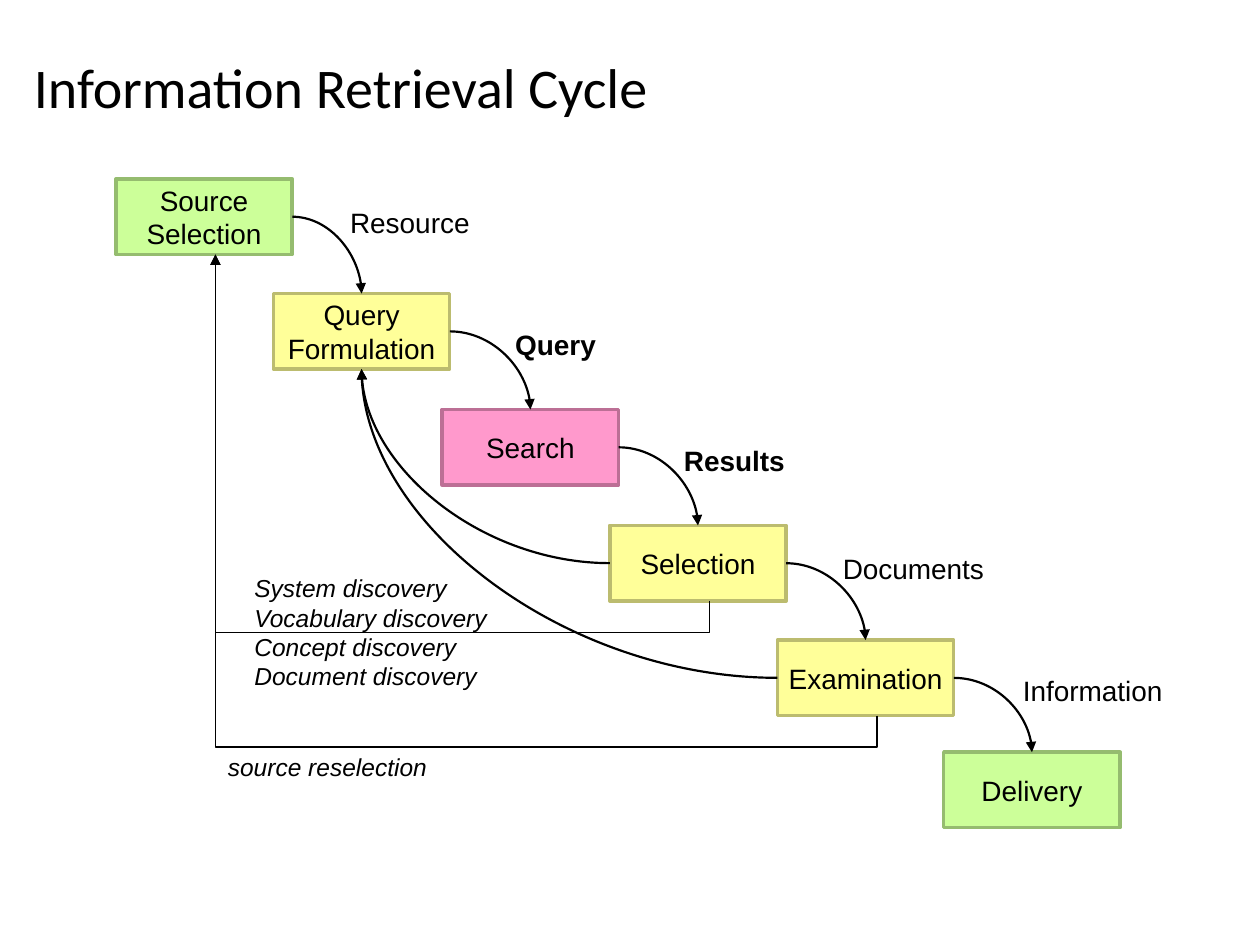
from dataclasses import dataclass
from lxml.etree import SubElement
from pptx import Presentation
from pptx.dml.color import RGBColor
from pptx.enum.shapes import MSO_CONNECTOR, MSO_SHAPE
from pptx.enum.text import MSO_ANCHOR, PP_ALIGN
from pptx.oxml.ns import qn
from pptx.util import Inches, Pt


@dataclass(frozen=True)
class Theme:
    ink: str = "000000"
    green: tuple = ("CCFF99", "95BC6F")
    yellow: tuple = ("FFFF99", "BCBC6F")
    pink: tuple = ("FF99CC", "BC6F95")
    head: str = "Calibri"
    body: str = "Arial"
    title: int = 32
    label: int = 16
    note: int = 14
    edge: float = 2
    curve: float = 1.25
    bent: float = 1


@dataclass(frozen=True)
class Stage:
    text: str
    left: float
    top: float
    hue: tuple

    @property
    def mid(self):
        return self.left + WIDE / 2

    @property
    def row(self):
        return self.top + HIGH / 2

    @property
    def right(self):
        return self.left + WIDE

    @property
    def base(self):
        return self.top + HIGH


THEME = Theme()
WIDE, HIGH = 1.4, 0.6
SHIFT, DROP = 0.09, 0.25

STAGES = [
    Stage("Source\nSelection", 0.92, 1.42, THEME.green),
    Stage("Query\nFormulation", 2.17, 2.33, THEME.yellow),
    Stage("Search", 3.51, 3.25, THEME.pink),
    Stage("Selection", 4.84, 4.17, THEME.yellow),
    Stage("Examination", 6.17, 5.08, THEME.yellow),
    Stage("Delivery", 7.49, 5.97, THEME.green),
]

LABELS = [
    ("Resource", 2.68, 1.58, 1.15, False),
    ("Query", 3.99, 2.55, 0.85, True),
    ("Results", 5.33, 3.47, 1, True),
    ("Documents", 6.59, 4.33, 1.32, False),
    ("Information", 8.02, 5.3, 1.31, False),
]

FINDS = "\n".join(
    f"{word} discovery" for word in ("System", "Vocabulary", "Concept", "Document")
)


def color(code):
    return RGBColor.from_string(code)


def write(shape, text, size=THEME.label, face=THEME.body, bold=False,
          italic=False, align=PP_ALIGN.LEFT, anchor=MSO_ANCHOR.TOP):
    frame = shape.text_frame
    frame.word_wrap = False
    frame.vertical_anchor = anchor
    frame.text = text
    for para in frame.paragraphs:
        para.alignment = align
        font = para.font
        font.name, font.size = face, Pt(size)
        font.bold, font.italic = bold, italic
        font.color.rgb = color(THEME.ink)


def add_text(slide, text, left, top, width, height, **style):
    area = slide.shapes.add_textbox(*map(Inches, (left, top, width, height)))
    write(area, text, **style)


def add_stage(slide, stage):
    box = slide.shapes.add_shape(
        MSO_SHAPE.RECTANGLE, *map(Inches, (stage.left, stage.top, WIDE, HIGH)))
    fill, edge = stage.hue
    box.shadow.inherit = False
    box.fill.solid()
    box.fill.fore_color.rgb = color(fill)
    box.line.color.rgb = color(edge)
    box.line.width = Pt(THEME.edge)
    write(box, stage.text, align=PP_ALIGN.CENTER, anchor=MSO_ANCHOR.MIDDLE)


def add_arrow(slide, kind, start, end, width):
    arrow = slide.shapes.add_connector(kind, *map(Inches, (*start, *end)))
    arrow.line.color.rgb = color(THEME.ink)
    arrow.line.width = Pt(width)
    props = arrow.element.spPr
    SubElement(props.find(qn("a:ln")), qn("a:tailEnd"), type="triangle")
    SubElement(props, qn("a:effectLst"))
    return props


def add_curve(slide, start, end):
    props = add_arrow(slide, MSO_CONNECTOR.CURVE, start, end, THEME.curve)
    props.find(qn("a:prstGeom")).set("prst", "curvedConnector2")


def add_return(slide, stage, goal):
    x1, y1 = stage.mid + SHIFT, stage.base
    x2, y2 = goal.mid + SHIFT, goal.base
    run, rise = x1 - x2, y1 - y2
    x, y = (x1 + x2) / 2, (y1 + y2) / 2
    start = (x - rise / 2, y + run / 2)
    end = (x + rise / 2, y - run / 2)
    props = add_arrow(slide, MSO_CONNECTOR.ELBOW, start, end, THEME.bent)
    props.find(qn("a:xfrm")).set("rot", str(270 * 60000))
    guides = props.find(qn("a:prstGeom")).get_or_add_avLst()
    ratio = round(-DROP / rise * 100000)
    SubElement(guides, qn("a:gd"), name="adj1", fmla=f"val {ratio}")


def main():
    deck = Presentation()
    deck.slide_width, deck.slide_height = Inches(10), Inches(7.5)
    slide = deck.slides.add_slide(deck.slide_layouts[6])
    add_text(slide, "Information Retrieval Cycle", 0.17, 0.12, 9.5, 1.12,
             size=THEME.title, face=THEME.head, anchor=MSO_ANCHOR.MIDDLE)
    for stage in STAGES:
        add_stage(slide, stage)
    for stage, goal in zip(STAGES, STAGES[1:]):
        add_curve(slide, (stage.right, stage.row), (goal.mid, goal.top))
    for text, left, top, width, bold in LABELS:
        add_text(slide, text, left, top, width, 0.37, bold=bold)
    add_text(slide, "source reselection", 1.71, 5.92, 2.3, 0.34,
             size=THEME.note, italic=True)
    add_text(slide, FINDS, 1.92, 4.5, 2.05, 1.04, size=THEME.note, italic=True)
    source, query, _, choice, exam, _ = STAGES
    for stage in (exam, choice):
        add_return(slide, stage, source)
        add_curve(slide, (stage.left, stage.row), (query.mid, query.base))
    deck.save("out.pptx")


if __name__ == "__main__":
    main()
